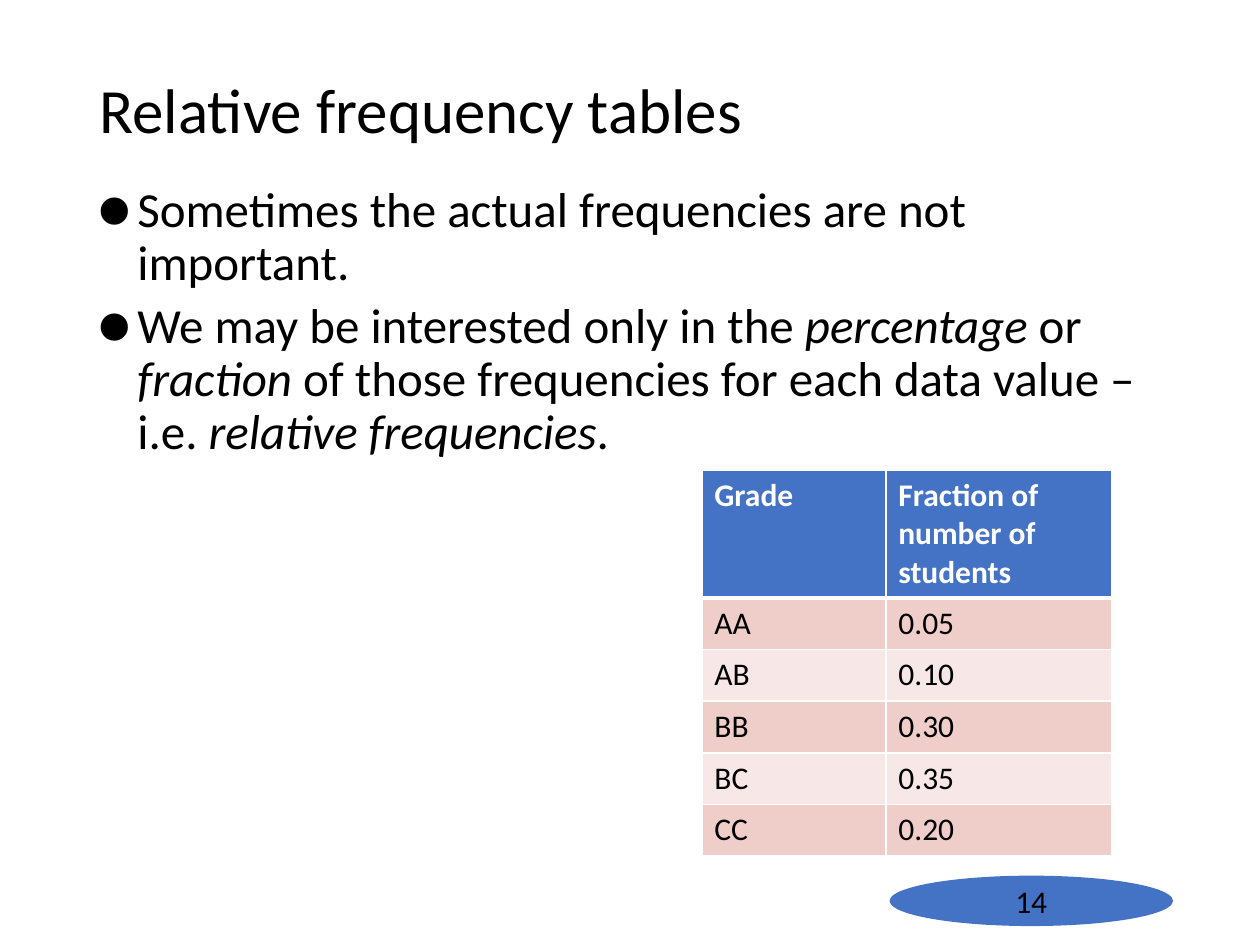
"""Build the slide on relative frequency tables."""
from dataclasses import dataclass

from lxml import etree
from pptx import Presentation
from pptx.dml.color import RGBColor
from pptx.enum import shapes, text
from pptx.oxml import ns
from pptx.util import Inches, Pt

BLACK = RGBColor(0x00, 0x00, 0x00)
WHITE = RGBColor(0xFF, 0xFF, 0xFF)
BLUE = RGBColor(0x44, 0x72, 0xC4)
ROSE = RGBColor(0xEF, 0xCE, 0xCA)
PALE_ROSE = RGBColor(0xF7, 0xE8, 0xE7)

COLUMN_WIDTHS = (1.46, 1.79)
HEADER_HEIGHT = 0.98
ROW_HEIGHT = 0.41


@dataclass(frozen=True)
class Box:
    left: float
    top: float
    width: float
    height: float

    def lengths(self):
        return [Inches(v) for v in (self.left, self.top, self.width, self.height)]


@dataclass(frozen=True)
class GradeRow:
    grade: str
    fraction: str


HEADER = GradeRow("Grade", "Fraction of number of students")
GRADES = [
    GradeRow("AA", "0.05"),
    GradeRow("AB", "0.10"),
    GradeRow("BB", "0.30"),
    GradeRow("BC", "0.35"),
    GradeRow("CC", "0.20"),
]
POINTS = [
    [("Sometimes the actual frequencies are not important.", False)],
    [
        ("We may be interested only in the ", False),
        ("percentage", True),
        (" or ", False),
        ("fraction", True),
        (" of those frequencies for each data value – i.e. ", False),
        ("relative frequencies", True),
        (".", False),
    ],
]


def add_text(paragraph, wording: str, *, size: float = 18, color: RGBColor = BLACK,
             bold: bool = False, italic: bool = False) -> None:
    run = paragraph.add_run()
    run.text = wording
    font = run.font
    font.name, font.size = "Calibri", Pt(size)
    font.bold, font.italic = bold, italic
    font.color.rgb = color


def place(placeholder, box: Box, anchor, bottom: float):
    placeholder.left, placeholder.top, placeholder.width, placeholder.height = box.lengths()
    frame = placeholder.text_frame
    frame.auto_size = text.MSO_AUTO_SIZE.NONE
    frame.word_wrap = True
    frame.vertical_anchor = anchor
    frame.margin_left = frame.margin_right = Inches(0.1)
    frame.margin_top, frame.margin_bottom = Inches(0.05), Inches(bottom)
    return frame


def set_bullet(paragraph, indent: float) -> None:
    props = paragraph._p.get_or_add_pPr()
    props.set("marL", str(Inches(indent)))
    props.set("indent", str(-Inches(indent)))
    etree.SubElement(props, ns.qn("a:buFont"), typeface="Calibri")
    etree.SubElement(props, ns.qn("a:buChar"), char="⚫")


def set_borders(cell, widths: dict[str, float]) -> None:
    props = cell._tc.get_or_add_tcPr()
    for side, width in widths.items():
        line = etree.SubElement(props, ns.qn(f"a:ln{side}"), w=str(Pt(width)))
        fill = etree.SubElement(line, ns.qn("a:solidFill"))
        etree.SubElement(fill, ns.qn("a:srgbClr"), val=str(WHITE))


def add_title(slide) -> None:
    frame = place(slide.shapes.title, Box(0.69, -0.18, 8.62, 1.45),
                  text.MSO_ANCHOR.BOTTOM, 0.1)
    heading = frame.paragraphs[0]
    heading.alignment = text.PP_ALIGN.LEFT
    heading.line_spacing = 0.9
    add_text(heading, "Relative frequency tables", size=36)


def add_points(slide) -> None:
    frame = place(slide.placeholders[1], Box(0.69, 1.42, 8.62, 4.76),
                  text.MSO_ANCHOR.TOP, 0.05)
    for index, pieces in enumerate(POINTS):
        point = frame.add_paragraph() if index else frame.paragraphs[0]
        point.line_spacing = 0.9
        point.space_before = Pt(5.8 if index else 0)
        set_bullet(point, 0.3)
        for wording, italic in pieces:
            add_text(point, wording, size=28, italic=italic)


def add_page_number(slide) -> None:
    oval = slide.shapes.add_shape(shapes.MSO_SHAPE.OVAL,
                                  *Box(7.06, 6.95, 2.25, 0.4).lengths())
    oval.shadow.inherit = False
    oval.fill.solid()
    oval.fill.fore_color.rgb = BLUE
    oval.line.fill.background()
    frame = oval.text_frame
    frame.margin_left = frame.margin_right = frame.margin_top = frame.margin_bottom = 0
    frame.vertical_anchor = text.MSO_ANCHOR.MIDDLE
    number = frame.paragraphs[0]
    number.alignment = text.PP_ALIGN.CENTER
    add_text(number, "14")


def add_grade_table(slide) -> None:
    rows = [HEADER, *GRADES]
    box = Box(5.57, 3.73, sum(COLUMN_WIDTHS), HEADER_HEIGHT + ROW_HEIGHT * len(GRADES))
    grades = slide.shapes.add_table(len(rows), len(COLUMN_WIDTHS), *box.lengths()).table
    for column, width in zip(grades.columns, COLUMN_WIDTHS):
        column.width = Inches(width)
    for index, row in enumerate(rows):
        is_header = index == 0
        grades.rows[index].height = Inches(HEADER_HEIGHT if is_header else ROW_HEIGHT)
        shade = BLUE if is_header else (PALE_ROSE, ROSE)[index % 2]
        borders = {"L": 1, "R": 1, "T": 3 if index == 1 else 1, "B": 3 if is_header else 1}
        for column, wording in enumerate((row.grade, row.fraction)):
            cell = grades.cell(index, column)
            set_borders(cell, borders)
            cell.fill.solid()
            cell.fill.fore_color.rgb = shade
            add_text(cell.text_frame.paragraphs[0], wording,
                     color=WHITE if is_header else BLACK, bold=is_header)


def main() -> None:
    deck = Presentation()
    deck.slide_width, deck.slide_height = Inches(10), Inches(7.5)
    slide = deck.slides.add_slide(deck.slide_layouts[1])
    add_title(slide)
    add_points(slide)
    add_page_number(slide)
    add_grade_table(slide)
    deck.save("out.pptx")


if __name__ == "__main__":
    main()
